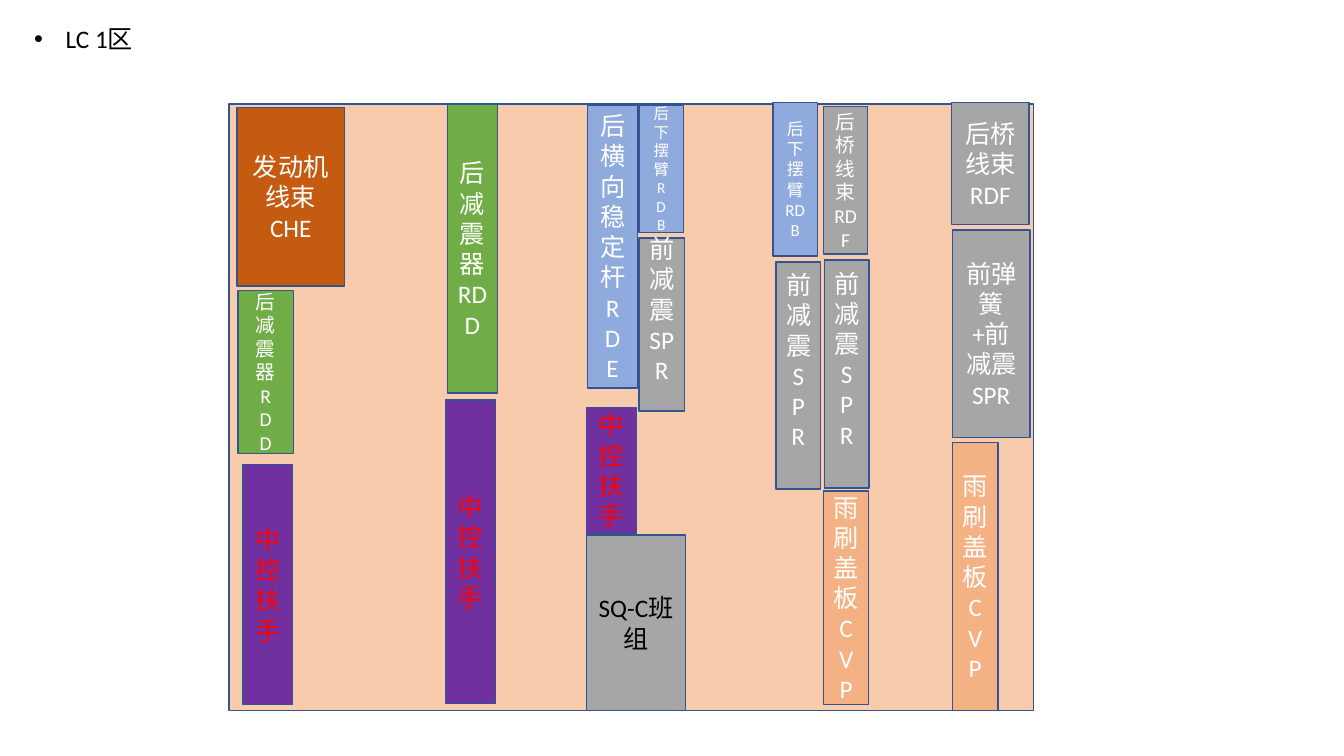
import pptx
import pptx.dml.color
import pptx.enum.shapes
import pptx.enum.text
import pptx.util
from lxml import etree

Pt = pptx.util.Pt
ALIGN = pptx.enum.text.PP_ALIGN

ORANGE, BROWN, PEACH = "F4B183", "C55A11", "F8CBAD"
GREEN, PURPLE, BLUE, GRAY = "70AD47", "7030A0", "8FAADC", "A6A6A6"
WHITE, BLACK, RED, OUTLINE = "FFFFFF", "000000", "FF0000", "325491"
SLIM, NARROW, MEDIUM, WIDE = 31.7, 32.4, 35.6, 55.4  # station widths
LINE_HEIGHT = 22


def color(value):
    return pptx.dml.color.RGBColor.from_string(value)


def write(frame, text, size=18, ink=WHITE, align=ALIGN.CENTER, bullet_indent=0):
    """Fill a text frame; each line of the text becomes a paragraph."""
    frame.word_wrap = True
    frame.vertical_anchor = pptx.enum.text.MSO_ANCHOR.MIDDLE
    for index, line in enumerate(text.split("\n")):
        para = frame.paragraphs[0] if index == 0 else frame.add_paragraph()
        para.alignment = align
        if bullet_indent:
            properties = para._p.get_or_add_pPr()
            properties.set("marL", str(Pt(bullet_indent)))
            properties.set("indent", str(-Pt(bullet_indent)))
            namespace = "{http://schemas.openxmlformats.org/drawingml/2006/main}"
            etree.SubElement(properties, namespace + "buFont", typeface="Arial")
            etree.SubElement(properties, namespace + "buChar", char="•")
        span = para.add_run()
        span.text = line
        span.font.name = "Calibri"
        span.font.size = Pt(size)
        span.font.color.rgb = color(ink)


class Layout:
    """Draws the parts of the floor plan on one page."""

    def __init__(self, page):
        self.page = page

    def heading(self, left, top, width, height, text):
        box = self.page.shapes.add_textbox(Pt(left), Pt(top), Pt(width), Pt(height))
        write(box.text_frame, text, ink=BLACK, align=ALIGN.LEFT, bullet_indent=22.5)

    def area(self, left, top, width, height, fill):
        box = self.page.shapes.add_shape(
            pptx.enum.shapes.MSO_SHAPE.RECTANGLE,
            Pt(left), Pt(top), Pt(width), Pt(height))
        box.shadow.inherit = False
        box.fill.solid()
        box.fill.fore_color.rgb = color(fill)
        box.line.color.rgb = color(OUTLINE)
        box.line.width = Pt(1)
        return box

    def station(self, left, top, width, height, fill, text, raised=False, **style):
        frame = self.area(left, top, width, height, fill).text_frame
        write(frame, text, **style)
        if raised:
            frame.margin_bottom = Pt(3.6 + LINE_HEIGHT)


def main():
    deck = pptx.Presentation()
    deck.slide_width, deck.slide_height = Pt(960), Pt(540)
    layout = Layout(deck.slides.add_slide(deck.slide_layouts[6]))

    # Heading and zone
    layout.heading(17.3, 9.4, 382.3, 36.7, "LC 1区")
    layout.area(163.5, 74.2, 574.6, 433.4, PEACH)

    # Armrests
    for left, top, height in [(173.5, 331.9, 171.4), (318.2, 285.8, 216.7),
                              (419, 290.9, 90)]:
        layout.station(left, top, MEDIUM, height, PURPLE, "中控扶手", ink=RED)

    # Engine harness and rear dampers
    layout.station(169.2, 77, 77, 127.4, BROWN, "发动机线束CHE")
    layout.station(169.9, 207.4, 39.6, 116.6, GREEN, "后减震\n器\nR\nD\nD", size=14)
    layout.station(319.7, 74.2, MEDIUM, 206.6, GREEN, "后减震器RDD")

    # Stabiliser bar and team area
    layout.station(419.8, 74.9, MEDIUM, 202.3, BLUE, "后横向稳定杆R\nD\nE")
    layout.station(419, 382.3, 70.6, 125.3, GRAY, "SQ-C班组", ink=BLACK)

    # Front dampers
    for left, top, width, height in [(456.5, 169.9, NARROW, 123.8),
                                     (554.4, 187.2, SLIM, 162),
                                     (589, 185.8, SLIM, 162.7)]:
        layout.station(left, top, width, height, GRAY, "前减震\nSPR", raised=True)

    # Rear lower arms
    layout.station(456.5, 75.6, SLIM, 90.7, BLUE, "后下摆臂\nR\nD\nB", size=11)
    layout.station(552.2, 73.4, SLIM, 109.4, BLUE, "后下摆臂RDB", size=12)

    # Rear axle harnesses and front springs
    layout.station(588.2, 76.3, SLIM, 105.1, GRAY, "后桥线束\nRDF", size=14)
    layout.station(679.7, 73.4, WIDE, 87.1, GRAY, "后桥线束RDF")
    layout.station(680.4, 164.2, WIDE, 148.3, GRAY, "前弹簧+前减震\nSPR")

    # Wiper covers
    for left, top, height in [(588.2, 350.6, 152.6), (680.4, 316.1, 191.5)]:
        layout.station(left, top, NARROW, height, ORANGE, "雨刷盖板CVP")

    deck.save("out.pptx")


if __name__ == "__main__":
    main()
